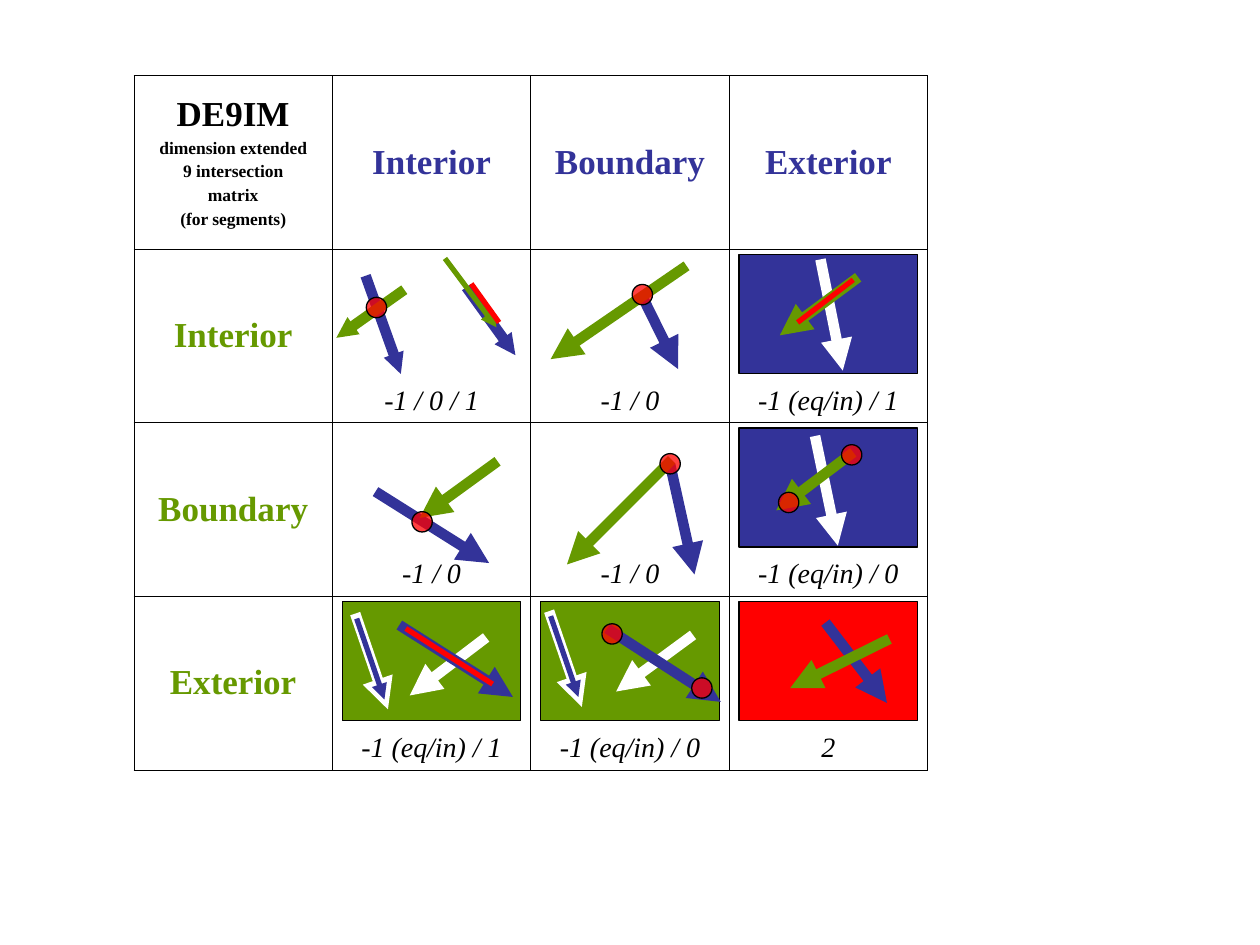
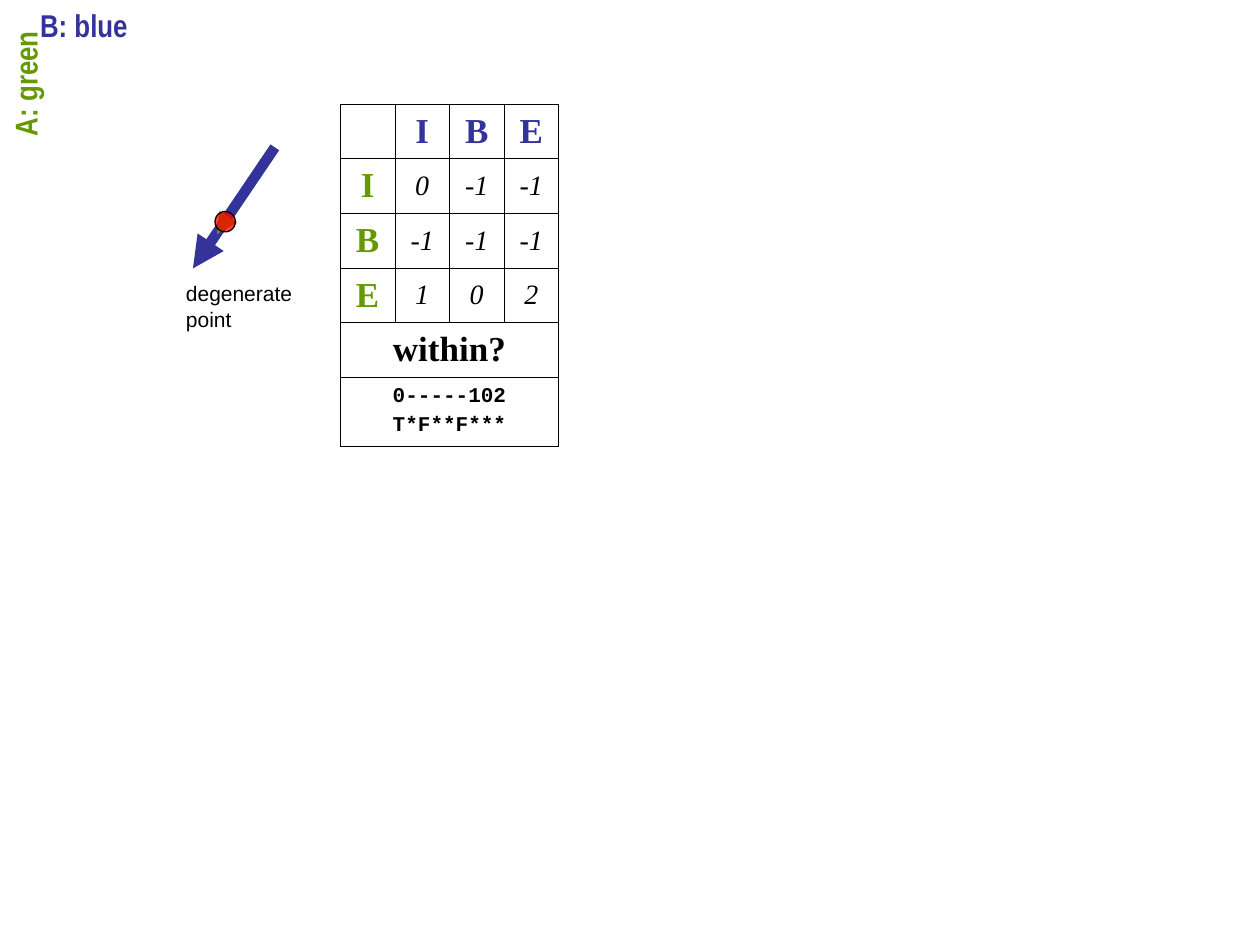
from dataclasses import dataclass

from lxml import etree
from pptx import Presentation
from pptx import util as u
from pptx.dml.color import RGBColor
from pptx.enum import shapes, text
from pptx.oxml.ns import qn


@dataclass(frozen=True)
class Theme:
    blue: str = "333399"
    green: str = "669900"
    red: str = "FF0000"
    white: str = "FFFFFF"
    black: str = "000000"
    serif: str = "Times New Roman"
    sans: str = "Arial"
    narrow: str = "Arial Narrow"
    mono: str = "Courier New"
    heading: float = 20
    key: float = 18
    value: float = 16
    small: float = 12
    subtitle: float = 10
    thick: float = 6
    medium: float = 4
    thin: float = 3
    outline: float = 0.75
    border: float = 0.45


T = Theme()
MATRIX_LEFT, MATRIX_TOP = 2.7, 1.52
CELL_WIDTH, CELL_HEIGHT = 4, 3.5
PANEL_WIDTH, PANEL_HEIGHT = 3.6, 2.4
DOT = 0.41


def rgb(code):
    return RGBColor.from_string(code)


def write(frame, line, size, color=T.black, font=T.serif, bold=False,
          italic=False, align=text.PP_ALIGN.CENTER, before=0):
    if frame.text:
        paragraph = frame.add_paragraph()
        paragraph.space_before = u.Pt(before)
    else:
        paragraph = frame.paragraphs[0]
    paragraph.alignment = align
    run = paragraph.add_run()
    run.text = line
    run.font.size = u.Pt(size)
    run.font.name = font
    run.font.bold = bold
    run.font.italic = italic
    run.font.color.rgb = rgb(color)


def heading(cell, label, color=T.black):
    write(cell.text_frame, label, T.heading, color=color, bold=True)


def label_box(slide, lines, left, top, width, height, rotation=0, **style):
    box = slide.shapes.add_textbox(u.Cm(left), u.Cm(top), u.Cm(width),
                                   u.Cm(height))
    box.rotation = rotation
    box.text_frame.word_wrap = True
    for line in lines:
        write(box.text_frame, line, **style)


def line(slide, start, end, color, width=T.thick, head=None):
    segment = slide.shapes.add_connector(
        shapes.MSO_CONNECTOR.STRAIGHT, *(u.Cm(v) for v in (*start, *end)))
    segment.line.width = u.Pt(width)
    segment.line.color.rgb = rgb(color)
    if head:
        stroke = segment.line._get_or_add_ln()
        etree.SubElement(stroke, qn("a:tailEnd"), type="triangle", w=head,
                         len=head)
    etree.SubElement(segment.element.spPr, qn("a:effectLst"))


def filled_shape(slide, kind, left, top, width, height, color):
    area = slide.shapes.add_shape(kind, u.Cm(left), u.Cm(top), u.Cm(width),
                                  u.Cm(height))
    area.shadow.inherit = False
    area.fill.solid()
    area.fill.fore_color.rgb = rgb(color)
    area.line.color.rgb = rgb(T.black)
    area.line.width = u.Pt(T.outline)
    return area


def dot(slide, center):
    x, y = center
    mark = filled_shape(slide, shapes.MSO_SHAPE.OVAL, x - DOT / 2, y - DOT / 2,
                        DOT, DOT, T.red)
    color = mark.element.spPr.find(qn("a:solidFill")).find(qn("a:srgbClr"))
    etree.SubElement(color, qn("a:alpha"), val="75000")


def border(cell):
    properties = cell._tc.get_or_add_tcPr()
    for side in ("lnL", "lnR", "lnT", "lnB"):
        edge = etree.SubElement(properties, qn(f"a:{side}"),
                                w=str(u.Pt(T.border)))
        fill = etree.SubElement(edge, qn("a:solidFill"))
        etree.SubElement(fill, qn("a:srgbClr"), val=T.black)


def grid(slide, left, top, column_width, heights):
    table = slide.shapes.add_table(
        len(heights), 4, u.Cm(left), u.Cm(top), u.Cm(4 * column_width),
        u.Cm(sum(heights))).table
    table.first_row = table.horz_banding = False
    for column in table.columns:
        column.width = u.Cm(column_width)
    for row, height in zip(table.rows, heights):
        row.height = u.Cm(height)
    for cell in table.iter_cells():
        border(cell)
        cell.fill.background()
        cell.vertical_anchor = text.MSO_ANCHOR.MIDDLE
    return table


def fill_matrix(table, names, values, value_anchor):
    for index, name in enumerate(names, 1):
        heading(table.cell(0, index), name, T.blue)
        heading(table.cell(index, 0), name, T.green)
    for row, row_values in enumerate(values, 1):
        for column, value in enumerate(row_values, 1):
            cell = table.cell(row, column)
            cell.vertical_anchor = value_anchor
            write(cell.text_frame, value, T.value, italic=True)


class Sketch:
    def __init__(self, slide, row, column, panel=None):
        self.slide = slide
        self.left = MATRIX_LEFT + column * CELL_WIDTH
        self.top = MATRIX_TOP + row * CELL_HEIGHT
        if panel:
            filled_shape(slide, shapes.MSO_SHAPE.RECTANGLE, self.left + 0.2,
                         self.top + 0.11, PANEL_WIDTH, PANEL_HEIGHT, panel)

    def at(self, point):
        return self.left + point[0], self.top + point[1]

    def arrow(self, color, start, end, width=T.thick, head="med"):
        line(self.slide, self.at(start), self.at(end), color, width, head)

    def overlap(self, start, end):
        line(self.slide, self.at(start), self.at(end), T.red, T.thin)

    def dots(self, *centers):
        for center in centers:
            dot(self.slide, self.at(center))

    def covered_arrow(self, x, y):
        self.arrow(T.white, (x, y), (x + 0.66, y + 1.93))
        self.arrow(T.blue, (x + 0.03, y + 0.1), (x + 0.59, y + 1.73), T.thin)


def draw_interior_row(slide):
    crossing = Sketch(slide, 1, 1)
    crossing.arrow(T.blue, (0.67, 0.54), (1.38, 2.52), head="sm")
    crossing.arrow(T.green, (1.45, 0.82), (0.08, 1.79), head="sm")
    crossing.dots((0.89, 1.18))
    crossing.arrow(T.blue, (2.7, 0.77), (3.69, 2.14), head="sm")
    crossing.arrow(T.green, (2.27, 0.19), (3.31, 1.58), T.thin)
    crossing.overlap((2.8, 0.7), (3.36, 1.48))

    touching = Sketch(slide, 1, 2)
    touching.arrow(T.blue, (2.23, 0.92), (2.97, 2.42))
    touching.arrow(T.green, (3.14, 0.34), (0.4, 2.22))
    touching.dots((2.25, 0.92))

    outside = Sketch(slide, 1, 3, T.blue)
    outside.arrow(T.white, (1.84, 0.21), (2.29, 2.45))
    outside.arrow(T.green, (2.6, 0.57), (1.02, 1.74))
    outside.overlap((1.38, 1.48), (2.5, 0.62))


def draw_boundary_row(slide):
    touching = Sketch(slide, 2, 1)
    touching.arrow(T.blue, (0.87, 1.39), (3.16, 2.83))
    touching.arrow(T.green, (3.33, 0.78), (1.76, 1.92))
    touching.dots((1.81, 2.0))

    shared_end = Sketch(slide, 2, 2)
    shared_end.arrow(T.blue, (2.81, 0.85), (3.3, 3.06))
    shared_end.arrow(T.green, (2.84, 0.75), (0.73, 2.86))
    shared_end.dots((2.81, 0.83))

    outside = Sketch(slide, 2, 3, T.blue)
    outside.arrow(T.white, (1.73, 0.27), (2.19, 2.48))
    outside.arrow(T.green, (2.5, 0.6), (0.95, 1.77))
    outside.dots((2.47, 0.65), (1.2, 1.61))


def draw_exterior_row(slide):
    interior = Sketch(slide, 3, 1, T.green)
    interior.arrow(T.white, (3.1, 0.83), (1.56, 2.0))
    interior.arrow(T.blue, (1.35, 0.58), (3.64, 2.03))
    interior.overlap((1.48, 0.65), (3.23, 1.77))
    interior.covered_arrow(0.46, 0.35)

    ends = Sketch(slide, 3, 2, T.green)
    ends.arrow(T.white, (3.27, 0.78), (1.72, 1.92))
    ends.arrow(T.blue, (1.54, 0.65), (3.83, 2.13))
    ends.dots((3.45, 1.85), (1.64, 0.76))
    ends.covered_arrow(0.37, 0.3)

    exterior = Sketch(slide, 3, 3, T.red)
    exterior.arrow(T.blue, (1.94, 0.53), (3.18, 2.15))
    exterior.arrow(T.green, (3.23, 0.86), (1.23, 1.85))


def build_definition(slide):
    table = grid(slide, MATRIX_LEFT, MATRIX_TOP, CELL_WIDTH, [CELL_HEIGHT] * 4)
    corner = table.cell(0, 0)
    heading(corner, "DE9IM")
    for subtitle in ("dimension extended", "9 intersection", "matrix",
                     "(for segments)"):
        write(corner.text_frame, subtitle, T.subtitle, bold=True, before=2.5)
    fill_matrix(table, ("Interior", "Boundary", "Exterior"), (
        ("-1 / 0 / 1", "-1 / 0", "-1 (eq/in) / 1"),
        ("-1 / 0", "-1 / 0", "-1 (eq/in) / 0"),
        ("-1 (eq/in) / 1", "-1 (eq/in) / 0", "2"),
    ), text.MSO_ANCHOR.BOTTOM)
    draw_interior_row(slide)
    draw_boundary_row(slide)
    draw_exterior_row(slide)


def build_within_example(slide):
    table = grid(slide, 6.86, 2.1, 1.1, [1.1] * 5 + [1.4])
    fill_matrix(table, "IBE", (
        ("0", "-1", "-1"),
        ("-1", "-1", "-1"),
        ("1", "0", "2"),
    ), text.MSO_ANCHOR.MIDDLE)
    for row in (4, 5):
        table.cell(row, 0).merge(table.cell(row, 3))
    heading(table.cell(4, 0), "within?")
    for pattern in ("0-----102", "T*F**F***"):
        write(table.cell(5, 0).text_frame, pattern, T.small, font=T.mono,
              bold=True, before=3)

    line(slide, (5.54, 2.97), (3.89, 5.41), T.blue, head="med")
    line(slide, (4.6, 4.37), (4.37, 4.72), T.green, T.medium, head="med")
    dot(slide, (4.54, 4.47))
    label_box(slide, ("degenerate", "point"), 3.5, 5.54, 3, 1.27,
              size=T.small, font=T.sans, align=text.PP_ALIGN.LEFT)
    key_style = dict(size=T.key, font=T.narrow, bold=True)
    label_box(slide, ("A: green",), -1.19, 1.57, 3.4, 1.02, rotation=270,
              color=T.green, align=text.PP_ALIGN.RIGHT, **key_style)
    label_box(slide, ("B: blue",), 0.56, 0, 3.4, 1.02, color=T.blue,
              align=text.PP_ALIGN.LEFT, **key_style)


def main():
    deck = Presentation()
    deck.slide_width, deck.slide_height = u.Cm(25.4), u.Cm(19.05)
    for build in (build_definition, build_within_example):
        build(deck.slides.add_slide(deck.slide_layouts[6]))
    deck.save("out.pptx")


if __name__ == "__main__":
    main()
